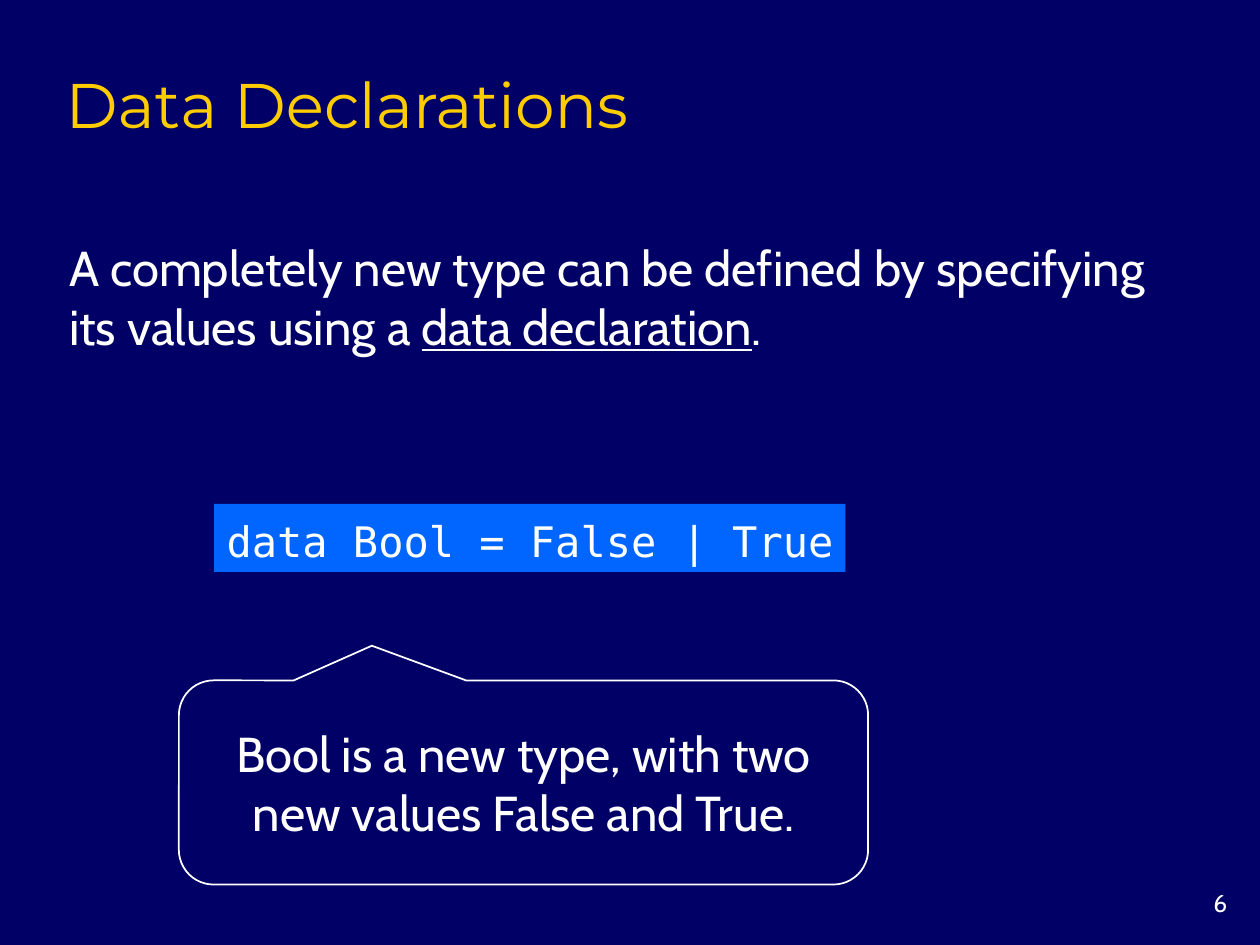
from pptx import Presentation
from pptx.dml.color import RGBColor
from pptx.enum.shapes import MSO_SHAPE
from pptx.enum.text import MSO_ANCHOR, MSO_AUTO_SIZE, PP_ALIGN
from pptx.util import Inches, Pt

LEFT, CENTER, RIGHT = PP_ALIGN.LEFT, PP_ALIGN.CENTER, PP_ALIGN.RIGHT
TOP, MIDDLE, BOTTOM = MSO_ANCHOR.TOP, MSO_ANCHOR.MIDDLE, MSO_ANCHOR.BOTTOM
RECTANGLE = MSO_SHAPE.RECTANGLE
CALLOUT = MSO_SHAPE.ROUNDED_RECTANGULAR_CALLOUT
NO_AUTOFIT = MSO_AUTO_SIZE.NONE

NAVY, BLUE, YELLOW, WHITE = "000066", "0066FF", "FFCC00", "FFFFFF"
TITLE = {"name": "Montserrat", "size": Pt(36), "color": YELLOW}
BODY = {"name": "Cabin", "size": Pt(28), "color": WHITE}
CODE = {"name": "DejaVu Sans Mono", "size": Pt(24), "color": WHITE}
NUMBER = {**BODY, "size": Pt(14)}


def rgb(value):
    return RGBColor.from_string(value)


class SlideBuilder:
    def __init__(self, prs, background):
        self.s = prs.slides.add_slide(prs.slide_layouts[5])
        fill = self.s.background.fill
        fill.solid()
        fill.fore_color.rgb = rgb(background)

    def set_text(self, sp, runs, style, align=LEFT, anchor=MIDDLE, wrap=True, spacing=1.0):
        tf = sp.text_frame
        frame_format = {"word_wrap": wrap, "auto_size": NO_AUTOFIT, "vertical_anchor": anchor}
        for name, value in frame_format.items():
            setattr(tf, name, value)
        p = tf.paragraphs[0]
        p.alignment = align
        p.line_spacing = spacing
        for text, extra in runs:
            r = p.add_run()
            r.text = text
            for name, value in {**style, **extra}.items():
                if name == "color":
                    r.font.color.rgb = rgb(value)
                else:
                    setattr(r.font, name, value)

    def title(self, text, box):
        sp = self.s.shapes.title
        for name, value in zip(("left", "top", "width", "height"), box):
            setattr(sp, name, Inches(value))
        self.set_text(sp, [(text, {})], TITLE, anchor=BOTTOM)

    def text(self, runs, box, style, **layout):
        sp = self.s.shapes.add_textbox(*map(Inches, box))
        self.set_text(sp, runs, style, **layout)

    def shape(self, kind, text, box, style, fill=None, line=None, adjustments=(), **layout):
        sp = self.s.shapes.add_shape(kind, *map(Inches, box))
        sp.shadow.inherit = False
        for i, value in enumerate(adjustments):
            sp.adjustments[i] = value
        if fill:
            sp.fill.solid()
            sp.fill.fore_color.rgb = rgb(fill)
        else:
            sp.fill.background()
        if line:
            sp.line.color.rgb = rgb(line)
            sp.line.width = Pt(1)
        else:
            sp.line.fill.background()
        self.set_text(sp, [(text, {})], style, **layout)


def main():
    prs = Presentation()
    prs.slide_width, prs.slide_height = Inches(10), Inches(7.5)
    slide = SlideBuilder(prs, NAVY)
    slide.title("Data Declarations", (0.42, 0.42, 8.5, 0.75))
    definition = [
        ("A completely new type can be defined by specifying its values using a ", {}),
        ("data declaration", {"underline": True}),
        (".", {}),
    ]
    slide.text(definition, (0.45, 1.83, 9.18, 1.04), BODY)
    slide.shape(RECTANGLE, "data Bool = False | True", (1.7, 4, 5.01, 0.54), CODE,
                fill=BLUE, wrap=False, spacing=1.1)
    slide.shape(CALLOUT, "Bool is a new type, with two new values False and True.",
                (1.42, 5.4, 5.47, 1.62), BODY, line=WHITE,
                adjustments=(-0.22, -0.67, 0.17), align=CENTER)
    slide.text([("6", {})], (9.17, 7, 0.67, 0.33), NUMBER, align=RIGHT, anchor=TOP)
    prs.save("out.pptx")


if __name__ == "__main__":
    main()
